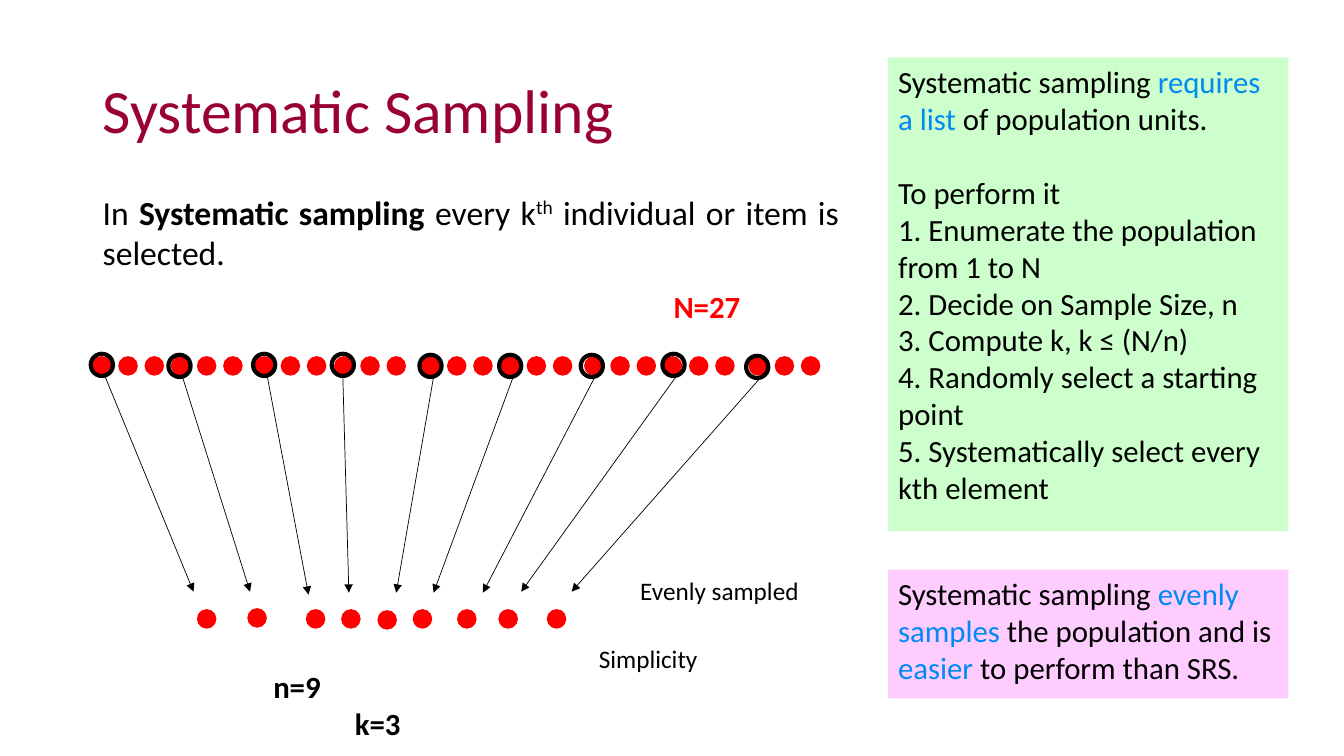
"""Build the Systematic Sampling slide."""
import dataclasses
import typing

import lxml.etree
import pptx
import pptx.dml.color
import pptx.enum.shapes
import pptx.enum.text
import pptx.oxml.ns
import pptx.util

PX = 9144
FONT = "Calibri"
BLACK, RED, BLUE, WINE = "000000", "FF0000", "008AF2", "990033"
DOT, RING, STEP, ROW = 18, 22, 26, 354
SHAPE = pptx.enum.shapes.MSO_SHAPE
ALIGN = pptx.enum.text.PP_ALIGN
FIT = pptx.enum.text.MSO_AUTO_SIZE
ANCHOR = pptx.enum.text.MSO_ANCHOR


class Run(typing.NamedTuple):
    text: str
    color: str = BLACK
    bold: bool = False
    raised: bool = False


@dataclasses.dataclass
class Para:
    runs: list[Run]
    form: dict = dataclasses.field(default_factory=dict)


@dataclasses.dataclass
class Panel:
    box: tuple[int, int, int, int]
    fill: str
    paras: list[Para]


class Label(typing.NamedTuple):
    box: tuple[int, int, int, int]
    run: Run
    size: int
    wrap: bool = False


class Pick(typing.NamedTuple):
    first: int
    ring: tuple[int, int]
    tail: int
    tip: tuple[int, int]
    dot: tuple[int, int]


PANELS = [
    Panel((881, 57, 397, 470), "CCFFCC", [
        Para([Run("Systematic sampling "), Run("requires a list ", BLUE),
              Run("of population units.")]),
        Para([Run("To perform it")], {"space_before": pptx.util.Pt(26.5)}),
        Para([Run("1. Enumerate the population from 1 to N")]),
        Para([Run("2. Decide on Sample Size, n")]),
        Para([Run("3. Compute k, k ≤ (N/n)")]),
        Para([Run("4. Randomly select a starting point")]),
        Para([Run("5. Systematically select every kth element")]),
    ]),
    Panel((881, 565, 397, 128), "FFCCFF", [
        Para([Run("Systematic sampling "), Run("evenly samples ", BLUE),
              Run("the population and is "), Run("easier", BLUE),
              Run(" to perform than SRS.")]),
    ]),
]
INTRO = Para([Run("In"), Run(" Systematic sampling", bold=True), Run(" every k"),
              Run("th", raised=True), Run(" individual or item is selected.")],
             {"alignment": ALIGN.JUSTIFY})
LABELS = [
    Label((656, 279, 139, 49), Run("N=27", RED, True), 22, True),
    Label((259, 656, 72, 49), Run("n=9", bold=True), 22),
    Label((340, 693, 70, 49), Run("k=3", bold=True), 22),
    Label((582, 632, 123, 42), Run("Simplicity"), 18),
    Label((623, 565, 258, 49), Run("Evenly sampled"), 18),
]
PICKS = [
    Pick(92, (90, 351), 104, (192, 587), (196, 605)),
    Pick(170, (167, 352), 181, (248, 587), (246, 604)),
    Pick(253, (251, 351), 265, (306, 590), (304, 605)),
    Pick(332, (329, 351), 340, (346, 588), (339, 605)),
    Pick(418, (416, 352), 430, (393, 588), (375, 606)),
    Pick(497, (495, 352), 509, (430, 588), (410, 605)),
    Pick(580, (576, 352), 590, (479, 588), (454, 605)),
    Pick(658, (657, 351), 671, (517, 587), (495, 605)),
    Pick(743, (740, 353), 754, (567, 587), (543, 605)),
]


def emu(*nums: int) -> list[int]:
    """Turn px into EMU."""
    return [num * PX for num in nums]


def rgb(code: str) -> pptx.dml.color.RGBColor:
    """Turn a hex string into a colour."""
    return pptx.dml.color.RGBColor.from_string(code)


def form(item: typing.Any, vals: dict) -> None:
    """Set each named attribute of the item."""
    for name, val in vals.items():
        setattr(item, name, val)


def write(frame: typing.Any, paras: list[Para], size: int) -> None:
    """Fill a text frame with paragraphs."""
    for num, para in enumerate(paras):
        line = frame.add_paragraph() if num else frame.paragraphs[0]
        form(line, {"alignment": ALIGN.LEFT, **para.form})
        for part in para.runs:
            run = line.add_run()
            run.text = part.text
            form(run.font, {"name": FONT, "size": pptx.util.Pt(size),
                            "bold": part.bold})
            run.font.color.rgb = rgb(part.color)
            if part.raised:
                run._r.get_or_add_rPr().set("baseline", "30000")


def shape(slide: typing.Any, kind: typing.Any, box: tuple[int, ...],
          fill: str | None = None, edge: str | None = None,
          width: int = 1) -> typing.Any:
    """Add a flat preset shape."""
    item = slide.shapes.add_shape(kind, *emu(*box))
    item.shadow.inherit = False
    if fill:
        item.fill.solid()
        item.fill.fore_color.rgb = rgb(fill)
    else:
        item.fill.background()
    if edge:
        item.line.color.rgb = rgb(edge)
        item.line.width = pptx.util.Pt(width)
    else:
        item.line.fill.background()
    return item


def dot(slide: typing.Any, left: int, top: int) -> None:
    """Add one red unit."""
    shape(slide, SHAPE.OVAL, (left, top, DOT, DOT), RED, RED)


def arrow(slide: typing.Any, start: tuple[int, int], end: tuple[int, int]) -> None:
    """Add a thin arrow."""
    kind = pptx.enum.shapes.MSO_CONNECTOR.STRAIGHT
    item = slide.shapes.add_connector(kind, *emu(*start, *end))
    item.line.color.rgb = rgb(BLACK)
    item.line.width = pptx.util.Pt(0.5)
    tag = pptx.oxml.ns.qn
    lxml.etree.SubElement(item.line._get_or_add_ln(), tag("a:tailEnd"), type="triangle")
    lxml.etree.SubElement(item._element.spPr, tag("a:effectLst"))


def text(slide: typing.Any, box: tuple[int, ...], paras: list[Para], size: int,
         vals: dict) -> None:
    """Add a text box."""
    frame = slide.shapes.add_textbox(*emu(*box)).text_frame
    form(frame, {"auto_size": FIT.SHAPE_TO_FIT_TEXT, **vals})
    write(frame, paras, size)


def main() -> None:
    """Draw the slide and save it."""
    deck = pptx.Presentation()
    deck.slide_width, deck.slide_height = emu(1333, 750)
    slide = deck.slides.add_slide(deck.slide_layouts[5])
    title = slide.shapes.title
    form(title, dict(zip(("left", "top", "width", "height"), emu(92, 40, 575, 145))))
    form(title.text_frame, {"vertical_anchor": ANCHOR.MIDDLE, "auto_size": FIT.NONE,
                            "word_wrap": True})
    write(title.text_frame, [Para([Run("Systematic Sampling", WINE)],
                                  {"line_spacing": 0.9})], 44)
    text(slide, (92, 185, 750, 91), [INTRO], 24, {"word_wrap": True})
    for panel in PANELS:
        frame = shape(slide, SHAPE.RECTANGLE, panel.box, panel.fill).text_frame
        form(frame, {"word_wrap": True, "vertical_anchor": ANCHOR.TOP})
        write(frame, panel.paras, 22)
    sides = ("margin_left", "margin_top", "margin_right", "margin_bottom")
    pads = dict(zip(sides, emu(12, 6, 12, 6)))
    for label in LABELS:
        text(slide, label.box, [Para([label.run])], label.size,
             {"word_wrap": label.wrap, **pads})
    for pick in PICKS:
        for num in range(3):
            dot(slide, pick.first + num * STEP, ROW)
        shape(slide, SHAPE.OVAL, (*pick.ring, RING, RING), None, BLACK, 3)
        arrow(slide, (pick.tail, pick.ring[1] + RING), pick.tip)
        dot(slide, *pick.dot)
    deck.save("out.pptx")


if __name__ == "__main__":
    main()
